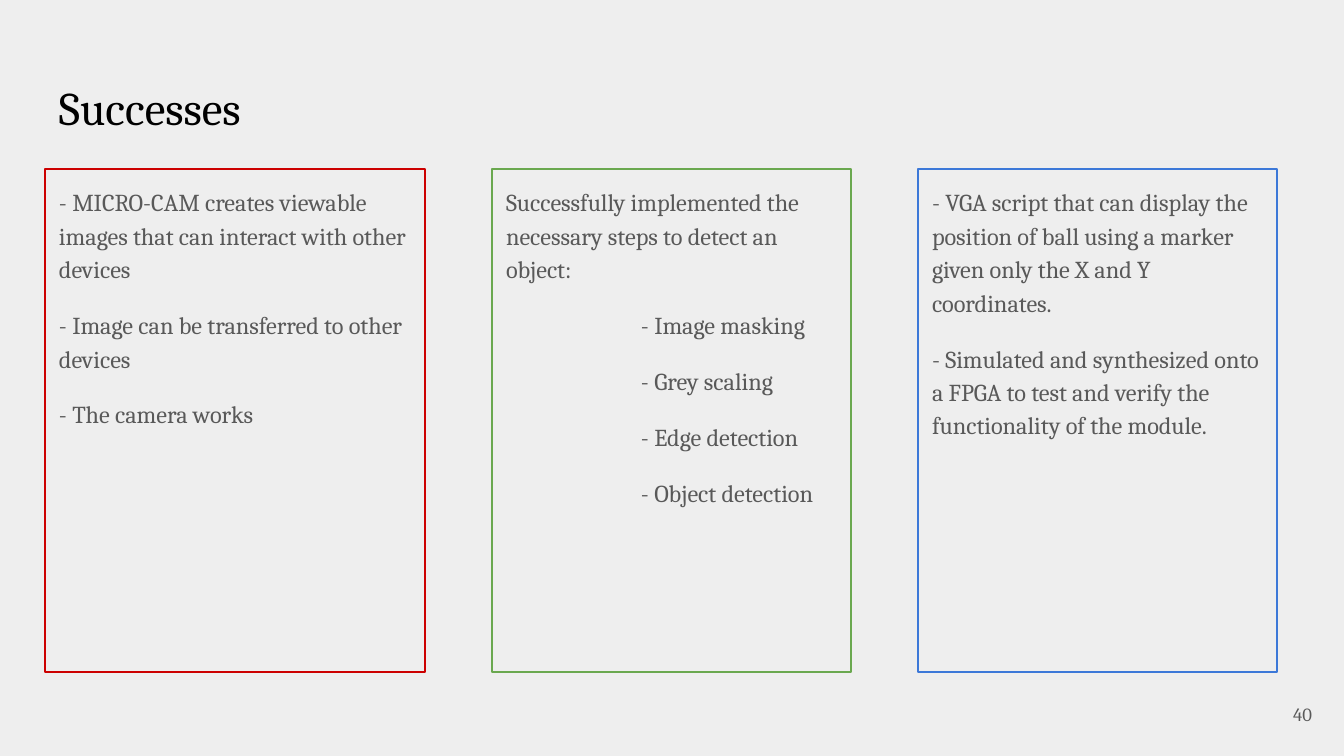
from dataclasses import dataclass

import lxml.etree
import pptx
import pptx.dml.color
import pptx.enum.text
import pptx.oxml.ns
import pptx.util

PX = 914400 / 134.4
FONT = "Cambria"
GREY = "595959"
INSET = 14
STEP_INDENT = 135
COLUMN_LEFT, COLUMN_TOP, COLUMN_HEIGHT, COLUMN_GAP = 45, 169, 503, 67
ANCHOR = pptx.enum.text.MSO_ANCHOR
ALIGN = pptx.enum.text.PP_ALIGN


@dataclass
class Column:
    """One outlined list of successes, with optional indented steps."""
    placeholder: int
    width: int
    color: str
    lines: list[str]
    steps: tuple[str, ...] = ()
    space_after: int = 0


COLUMNS = [
    Column(1, 380, "CC0000", [
        "- MICRO-CAM creates viewable images that can interact with other devices",
        "- Image can be transferred to other devices",
        "- The camera works",
    ]),
    Column(2, 359, "6AA84F", [
        "Successfully implemented the necessary steps to detect an object:",
    ], steps=(
        "- Image masking",
        "- Grey scaling",
        "- Edge detection",
        "- Object detection",
    ), space_after=12),
    Column(3, 359, "3C78D8", [
        "- VGA script that can display the position of ball using a marker "
        "given only the X and Y coordinates.",
        "- Simulated and synthesized onto a FPGA to test and verify the "
        "functionality of the module.",
    ]),
]


def emu(pixels: int) -> int:
    """Turn pixels into EMU."""
    return round(pixels * PX)


def rgb(color: str) -> pptx.dml.color.RGBColor:
    """Turn a hex string into a colour."""
    return pptx.dml.color.RGBColor.from_string(color)


def apply(target, values: dict) -> None:
    """Set each named attribute on the target."""
    for name, value in values.items():
        setattr(target, name, value)


def place(shape, left: int, top: int, width: int, height: int) -> None:
    """Move and size a shape given in pixels."""
    apply(shape, {"left": emu(left), "top": emu(top),
                  "width": emu(width), "height": emu(height)})


def format_frame(shape, anchor=ANCHOR.TOP) -> None:
    """Give a text frame its insets, wrapping and anchor."""
    margins = {f"margin_{side}": emu(INSET)
               for side in ("left", "top", "right", "bottom")}
    apply(shape.text_frame, {
        **margins, "word_wrap": True, "vertical_anchor": anchor,
        "auto_size": pptx.enum.text.MSO_AUTO_SIZE.NONE})


def write(paragraph, text: str, size: int, color: str, **layout) -> None:
    """Write one formatted run into a paragraph."""
    run = paragraph.add_run()
    run.text = text
    apply(run.font, {"name": FONT, "size": pptx.util.Pt(size), "bold": False})
    run.font.color.rgb = rgb(color)
    apply(paragraph, layout)


def set_indent(paragraph, indent: int) -> None:
    """Remove the bullet and set the left indent."""
    properties = paragraph._p.get_or_add_pPr()
    properties.set("marL", str(emu(indent)))
    properties.set("indent", "0")
    lxml.etree.SubElement(properties, pptx.oxml.ns.qn("a:buNone"))


def draw_column(slide, column: Column, left: int) -> None:
    """Fill a body placeholder with one outlined list."""
    shape = slide.placeholders[column.placeholder]
    place(shape, left, COLUMN_TOP, column.width, COLUMN_HEIGHT)
    format_frame(shape)
    shape.line.color.rgb = rgb(column.color)
    shape.line.width = pptx.util.Pt(1.5)
    frame = shape.text_frame
    lines = [*column.lines, *column.steps]
    for index, line in enumerate(lines):
        paragraph = frame.add_paragraph() if index else frame.paragraphs[0]
        set_indent(paragraph, STEP_INDENT if index >= len(column.lines) else 0)
        last = index == len(lines) - 1
        write(paragraph, line, 13, GREY, line_spacing=1.15,
              space_before=pptx.util.Pt(12 if index else 0),
              space_after=pptx.util.Pt(column.space_after if last else 0))


def main() -> None:
    """Build and save the slide."""
    presentation = pptx.Presentation()
    apply(presentation, {"slide_width": emu(1344), "slide_height": emu(756)})
    slide = presentation.slides.add_slide(
        presentation.slide_layouts.get_by_name("Comparison"))
    slide.background.fill.solid()
    slide.background.fill.fore_color.rgb = rgb("EEEEEE")

    title = slide.shapes.title
    place(title, 45, 65, 1253, 84)
    format_frame(title)
    write(title.text_frame.paragraphs[0], "Successes", 25, "000000",
          alignment=ALIGN.LEFT)

    left = COLUMN_LEFT
    for column in COLUMNS:
        draw_column(slide, column, left)
        left += column.width + COLUMN_GAP

    unused = slide.placeholders[4]._element
    unused.getparent().remove(unused)

    number = slide.shapes.add_textbox(0, 0, 0, 0)
    place(number, 1245, 685, 81, 58)
    format_frame(number, ANCHOR.MIDDLE)
    write(number.text_frame.paragraphs[0], "40", 10, GREY, alignment=ALIGN.RIGHT)

    presentation.save("out.pptx")


if __name__ == "__main__":
    main()
